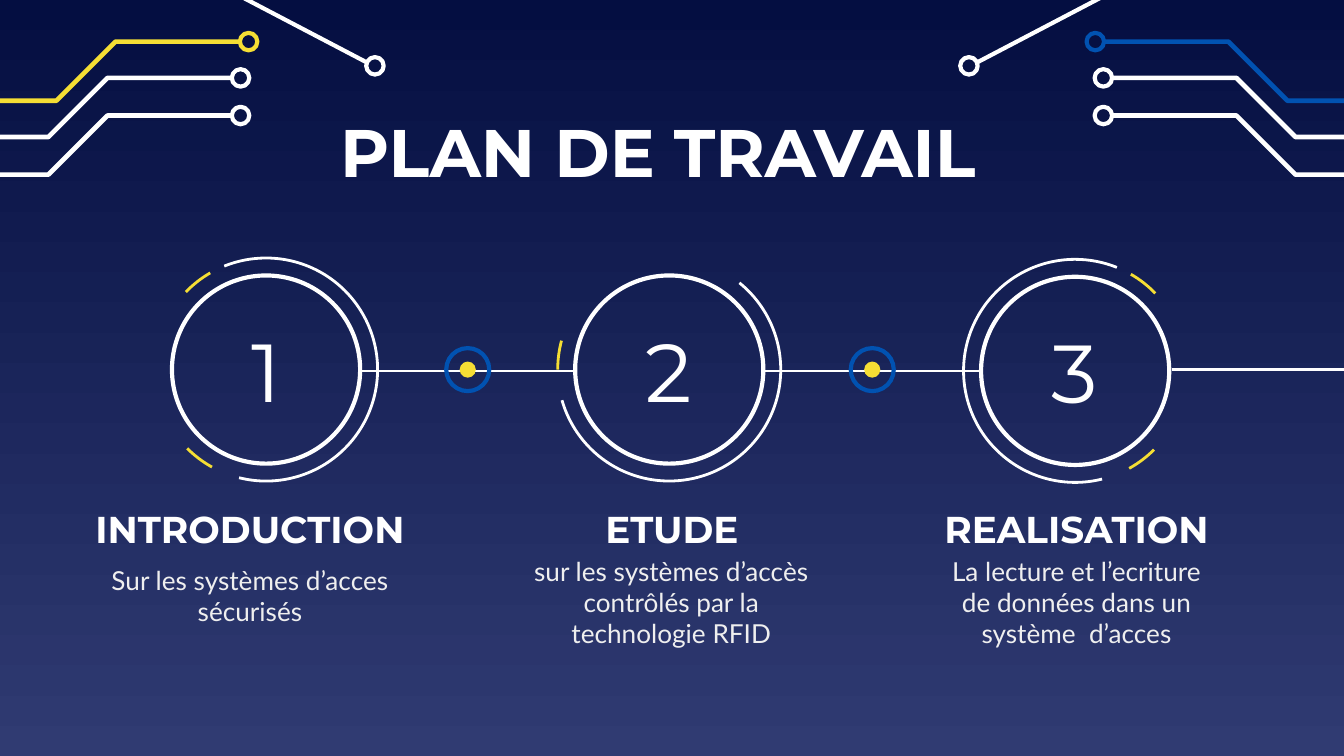
from dataclasses import dataclass

from lxml import etree
from pptx import Presentation
from pptx.dml.color import RGBColor
from pptx.enum.shapes import MSO_CONNECTOR, MSO_SHAPE
from pptx.enum.text import MSO_ANCHOR, MSO_AUTO_SIZE, PP_ALIGN
from pptx.oxml.ns import qn
from pptx.util import Inches, Pt

OVAL, ARC = MSO_SHAPE.OVAL, MSO_SHAPE.ARC
STRAIGHT = MSO_CONNECTOR.STRAIGHT
MIDDLE, CENTER = MSO_ANCHOR.MIDDLE, PP_ALIGN.CENTER
FIXED = MSO_AUTO_SIZE.NONE
WIDE = 10
HIGH = WIDE * 9 / 16


@dataclass(frozen=True)
class Theme:
    top: str = "040E41"
    base: str = "303B72"
    white: str = "FFFFFF"
    pale: str = "EFEFEF"
    gold: str = "F5DE34"
    blue: str = "0152B1"
    head: str = "Montserrat"
    body: str = "Lato"
    title: int = 36
    number: int = 44
    name: int = 20
    note: int = 14
    thin: float = 1.5
    thick: float = 2.25
    trace: float = 2.5


THEME = Theme()

STEPS = [
    ("1", 1.98, 2.75, (248, 104), [(119, 135), (224, 240)],
     "INTRODUCTION", (0.59, 3.7, 2.54, 0.47),
     "Sur les systèmes d’acces sécurisés", (0.72, 4.14, 2.28, 0.58)),
    ("2", 4.98, 2.75, (309, 164), [(180, 195)],
     "ETUDE", (3.86, 3.7, 2.28, 0.47),
     "sur les systèmes d’accès contrôlés par la technologie RFID",
     (3.72, 4.19, 2.55, 0.58)),
    ("3", 8, 2.76, (76, 292), [(45, 61), (300, 316)],
     "REALISATION", (6.87, 3.7, 2.28, 0.47),
     "La lecture et l’ecriture de données dans un système  d’acces",
     (6.87, 4.19, 2.28, 0.58)),
]


def rgb(code):
    return RGBColor.from_string(code)


def write(shape, text, size, font, color, bold=False):
    frame = shape.text_frame
    frame.text = text
    frame.word_wrap = True
    frame.auto_size = FIXED
    frame.vertical_anchor = MIDDLE
    frame.margin_left = frame.margin_right = Inches(0.1)
    frame.margin_top = frame.margin_bottom = Inches(0.1)
    para = frame.paragraphs[0]
    para.alignment = CENTER
    face = para.runs[0].font
    face.size, face.name, face.bold = Pt(size), font, bold
    face.color.rgb = rgb(color)


def outline(shape, color, width):
    shape.shadow.inherit = False
    shape.fill.background()
    shape.line.color.rgb = rgb(color)
    shape.line.width = Pt(width)


def add_round(slide, kind, x, y, size, color, width):
    shape = slide.shapes.add_shape(
        kind, Inches(x - size / 2), Inches(y - size / 2),
        Inches(size), Inches(size))
    outline(shape, color, width)
    return shape


def add_arc(slide, x, y, span, color):
    arc = add_round(slide, ARC, x, y, 1.66, color, THEME.thin)
    for i, angle in enumerate(span):
        arc.adjustments[i] = angle * 0.6


def add_path(slide, points, color, width):
    spots = [(Inches(x), Inches(y)) for x, y in points]
    pen = slide.shapes.build_freeform(*spots[0])
    pen.add_line_segments(spots[1:], close=False)
    outline(pen.convert_to_shape(), color, width)


def add_line(slide, left, right, y):
    line = slide.shapes.add_connector(
        STRAIGHT, Inches(left), Inches(y), Inches(right), Inches(y))
    line.line.color.rgb = rgb(THEME.white)
    line.line.width = Pt(THEME.thin)
    etree.SubElement(line._element.spPr, qn("a:effectLst"))


def add_label(slide, box, text, *style):
    shape = slide.shapes.add_textbox(*map(Inches, box))
    write(shape, text, *style)


def add_corner(slide, flip, accent):
    def place(x):
        return WIDE - x if flip else x

    def draw(points, tip, color, width):
        add_path(slide, [(place(x), y) for x, y in points], color, width)
        add_round(slide, OVAL, place(tip[0]), tip[1], 0.13, color, THEME.thick)

    for x, y, color in [(1.78, 0.31, accent), (1.72, 0.58, THEME.white),
                        (1.72, 0.86, THEME.white)]:
        points = [(x - 2.1, y + 0.44), (x - 1.36, y + 0.44),
                  (x - 0.92, y), (x, y)]
        draw(points, (x + 0.07, y), color, THEME.trace)
    draw([(1.04, -0.42), (2.74, 0.47)], (2.79, 0.49), THEME.white, THEME.thick)


def add_node(slide, x, y):
    add_round(slide, OVAL, x, y, 0.32, THEME.blue, THEME.thick)
    dot = add_round(slide, OVAL, x, y, 0.12, THEME.gold, THEME.thin)
    dot.fill.solid()
    dot.fill.fore_color.rgb = rgb(THEME.gold)
    dot.line.fill.background()


def add_step(slide, number, x, y, span, ticks, name, top, note, low):
    disc = add_round(slide, OVAL, x, y, 1.4, THEME.white, THEME.thick)
    write(disc, number, THEME.number, THEME.head, THEME.white)
    add_arc(slide, x, y, span, THEME.white)
    for tick in ticks:
        add_arc(slide, x, y, tick, THEME.gold)
    add_label(slide, top, name, THEME.name, THEME.head, THEME.white, True)
    add_label(slide, low, note, THEME.note, THEME.body, THEME.pale)


def set_back(slide):
    fill = slide.background.fill
    fill.gradient()
    fill.gradient_angle = 270
    for stop, color in zip(fill.gradient_stops, (THEME.top, THEME.base)):
        stop.color.rgb = rgb(color)


def set_title(slide, text):
    title = slide.shapes.title
    title.left, title.top = Inches(2.15), Inches(0.86)
    title.width, title.height = Inches(5.49), Inches(0.52)
    write(title, text, THEME.title, THEME.head, THEME.white, True)


def main():
    deck = Presentation()
    deck.slide_width, deck.slide_height = Inches(WIDE), Inches(HIGH)
    slide = deck.slides.add_slide(deck.slide_layouts[5])
    set_back(slide)
    set_title(slide, "PLAN DE TRAVAIL")
    add_corner(slide, False, THEME.gold)
    add_corner(slide, True, THEME.blue)
    for left, right, y in [(2.69, 4.28, 2.76), (5.68, 7.31, 2.76),
                           (8.72, 10.55, 2.75)]:
        add_line(slide, left, right, y)
    for x in (3.48, 6.49):
        add_node(slide, x, 2.75)
    for step in STEPS:
        add_step(slide, *step)
    deck.save("out.pptx")


if __name__ == "__main__":
    main()
